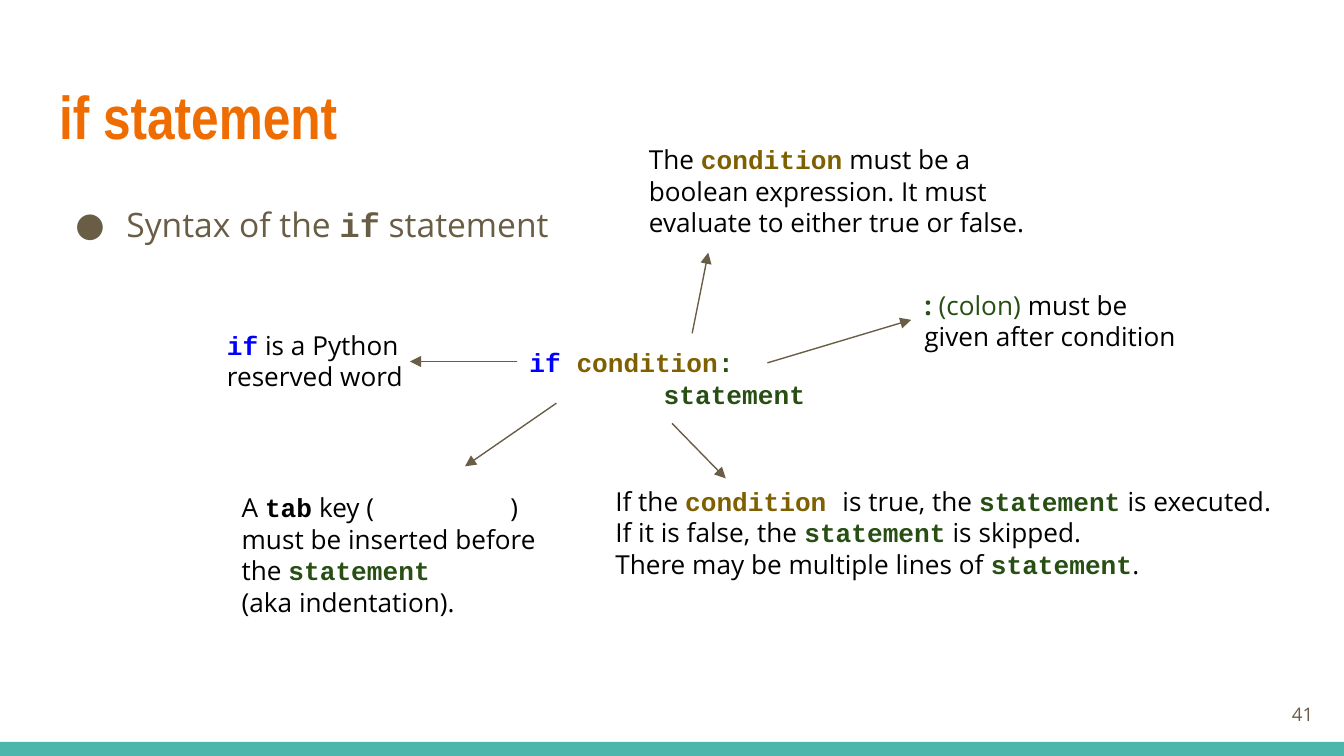
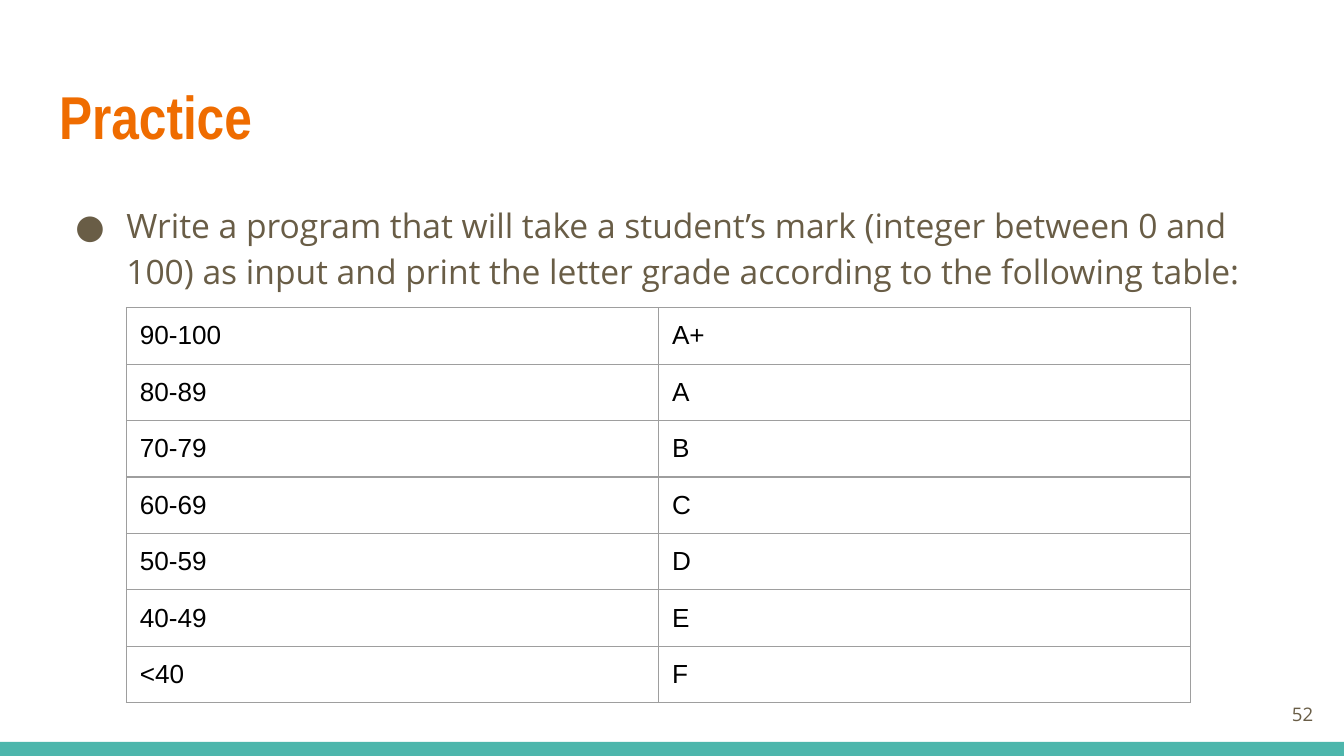
from lxml import etree
from pptx import Presentation
from pptx.dml.color import RGBColor
from pptx.enum.shapes import MSO_CONNECTOR, MSO_SHAPE
from pptx.enum.text import MSO_ANCHOR, MSO_AUTO_SIZE, PP_ALIGN
from pptx.oxml.ns import qn
from pptx.util import Inches, Pt

COLORS = {
    "band": "4DB6AC", "title": "EF6C00", "body": "695D46", "text": "000000",
    "keyword": "0000FF", "condition": "7F6000", "statement": "274E13",
    "border": "9E9E9E",
}

# Span styles: font, colour, bold
STYLES = {
    "title": ("Arial Narrow", "title", True),
    "body": ("Open Sans", "body", False),
    "body code": ("Courier New", "body", True),
    "text": ("Open Sans", "text", False),
    "code": ("Courier New", "text", True),
    "keyword": ("Courier New", "keyword", True),
    "condition": ("Courier New", "condition", True),
    "statement": ("Courier New", "statement", True),
    "colon": ("Open Sans", "statement", True),
    "colon name": ("Open Sans", "statement", False),
    "cell": ("Arial", "text", False),
}

# Content: paragraphs are lists of (text, style) spans
IF_BULLET = [("Syntax of the ", "body"), ("if", "body code"), (" statement", "body")]
PRACTICE_BULLET = [(
    "Write a program that will take a student’s mark (integer between 0 and 100) "
    "as input and print the letter grade according to the following table:", "body")]

# Syntax in the middle and the notes around it: place, paragraphs
NOTES = [
    ((3.84, 2.48, 2.31, 0.67), [
        [("if ", "keyword"), ("condition", "condition"), (":", "statement")],
        [("\t", "code"), ("statement", "statement")]]),
    ((1.59, 2.35, 1.54, 0.67), [
        [("if", "keyword"), (" is a Python reserved word", "text")]]),
    ((6.78, 2.05, 2.16, 0.67), [
        [(":", "colon"), (" (colon)", "colon name"),
         (" must be given after condition", "text")]]),
    ((4.73, 0.97, 3, 0.91), [
        [("The ", "text"), ("condition", "condition"), (" must be a", "text")],
        [("boolean expression. It must", "text")],
        [("evaluate to either true or false.", "text")]]),
    ((4.48, 3.51, 5.12, 0.91), [
        [("If the ", "text"), ("condition ", "condition"), ("is true, the ", "text"),
         ("statement", "statement"), (" is executed.", "text")],
        [("If it is false, the ", "text"), ("statement", "statement"),
         (" is skipped.", "text")],
        [("There may be multiple lines of ", "text"), ("statement", "statement"),
         (".", "text")]]),
    ((1.7, 3.56, 2.66, 1.14), [
        [("A ", "text"), ("tab", "code"), (" key (\t\t)", "text")],
        [("must be inserted before the ", "text"), ("statement", "statement")],
        [("(aka indentation).", "text")]]),
]

# Arrows from the syntax to its notes: start, end
ARROWS = [
    ((3.85, 2.69), (3.05, 2.69)),
    ((5.15, 2.48), (5.27, 1.88)),
    ((5.71, 2.7), (6.78, 2.38)),
    ((5, 3.15), (5.4, 3.56)),
    ((4.14, 3), (3.46, 3.47)),
]

GRADES = [("90-100", "A+"), ("80-89", "A"), ("70-79", "B"), ("60-69", "C"),
          ("50-59", "D"), ("40-49", "E"), ("<40", "F")]
COLUMN_WIDTH, ROW_HEIGHT = 3.96, 0.42


def color(name):
    return RGBColor.from_string(COLORS[name])


def add_color(parent, name):
    etree.SubElement(parent, qn("a:srgbClr")).set("val", COLORS[name])


def place(shape, left, top, width, height):
    shape.left, shape.top = Inches(left), Inches(top)
    shape.width, shape.height = Inches(width), Inches(height)


def write(frame, paragraphs, size, anchor=MSO_ANCHOR.TOP,
          auto_size=MSO_AUTO_SIZE.NONE, align=PP_ALIGN.LEFT):
    """Fill a text frame with paragraphs of styled spans."""
    frame.word_wrap = True
    frame.auto_size = auto_size
    frame.vertical_anchor = anchor
    frame.margin_left = frame.margin_right = Inches(0.1)
    frame.margin_top = frame.margin_bottom = Inches(0.1)
    for index, spans in enumerate(paragraphs):
        para = frame.paragraphs[0] if index == 0 else frame.add_paragraph()
        para.alignment = align
        para.space_before = Pt(0)
        para._p.get_or_add_pPr().set("defTabSz", str(Inches(1)))
        for text, style in spans:
            span = para.add_run()
            span.text = text
            span.font.size = Pt(size)
            span.font.name, color_name, span.font.bold = STYLES[style]
            span.font.color.rgb = color(color_name)


def add_bullet(para):
    para.line_spacing = 1.15
    props = para._p.get_or_add_pPr()
    props.set("marL", str(Inches(0.5)))
    props.set("indent", str(Inches(-0.38)))
    add_color(etree.SubElement(props, qn("a:buClr")), "body")
    etree.SubElement(props, qn("a:buFont")).set("typeface", "Open Sans")
    etree.SubElement(props, qn("a:buChar")).set("char", "●")


def add_page(deck, title, bullet, body_top, number):
    """Add a page with its band, title, bullet and page number."""
    page = deck.slides.add_slide(deck.slide_layouts[1])
    band = page.shapes.add_shape(MSO_SHAPE.RECTANGLE, 0, Inches(5.52),
                                 Inches(10), Inches(0.11))
    band.shadow.inherit = False
    band.fill.solid()
    band.fill.fore_color.rgb = color("band")
    band.line.fill.background()

    heading, body = page.shapes.title, page.placeholders[1]
    place(heading, 0.34, 0.49, 9.32, 0.77)
    write(heading.text_frame, [[(title, "title")]], 32.4)
    place(body, 0.34, body_top, 9.32, 3.61)
    write(body.text_frame, [bullet], 18)
    add_bullet(body.text_frame.paragraphs[0])

    box = page.shapes.add_textbox(Inches(9.27), Inches(5.1), Inches(0.6), Inches(0.43))
    write(box.text_frame, [[(number, "body")]], 10,
          anchor=MSO_ANCHOR.MIDDLE, align=PP_ALIGN.RIGHT)
    return page


def add_arrow(page, start, end):
    arrow = page.shapes.add_connector(
        MSO_CONNECTOR.STRAIGHT, *(Inches(value) for value in start + end))
    arrow.line.color.rgb = color("body")
    arrow.line.width = Pt(0.75)
    etree.SubElement(arrow.line._get_or_add_ln(), qn("a:tailEnd")).set("type", "triangle")
    etree.SubElement(arrow._element.spPr, qn("a:effectLst"))


def add_borders(cell):
    props = cell._tc.get_or_add_tcPr()
    for index, side in enumerate(("lnL", "lnR", "lnT", "lnB")):
        line = etree.Element(qn(f"a:{side}"), w=str(Pt(0.75)))
        add_color(etree.SubElement(line, qn("a:solidFill")), "border")
        props.insert(index, line)


def add_grades(page):
    table = page.shapes.add_table(
        len(GRADES), 2, Inches(0.94), Inches(2.29),
        Inches(2 * COLUMN_WIDTH), Inches(len(GRADES) * ROW_HEIGHT)).table
    table.first_row = table.horz_banding = False
    for row, values in enumerate(GRADES):
        table.rows[row].height = Inches(ROW_HEIGHT)
        for column, value in enumerate(values):
            cell = table.cell(row, column)
            cell.margin_left = cell.margin_right = Inches(0.1)
            cell.margin_top = cell.margin_bottom = Inches(0.1)
            cell.fill.background()
            add_borders(cell)
            span = cell.text_frame.paragraphs[0].add_run()
            span.text = value
            span.font.size = Pt(14)
            span.font.name, color_name, span.font.bold = STYLES["cell"]
            span.font.color.rgb = color(color_name)


def main():
    deck = Presentation()
    deck.slide_width, deck.slide_height = Inches(10), Inches(5.625)

    # Syntax of the if statement
    page = add_page(deck, "if statement", IF_BULLET, 1.37, "41")
    for position, paragraphs in NOTES:
        box = page.shapes.add_textbox(*(Inches(value) for value in position))
        write(box.text_frame, paragraphs, 14, auto_size=MSO_AUTO_SIZE.SHAPE_TO_FIT_TEXT)
    for start, end in ARROWS:
        add_arrow(page, start, end)

    # Letter grade exercise
    page = add_page(deck, "Practice", PRACTICE_BULLET, 1.38, "52")
    add_grades(page)

    deck.save("out.pptx")


if __name__ == "__main__":
    main()
